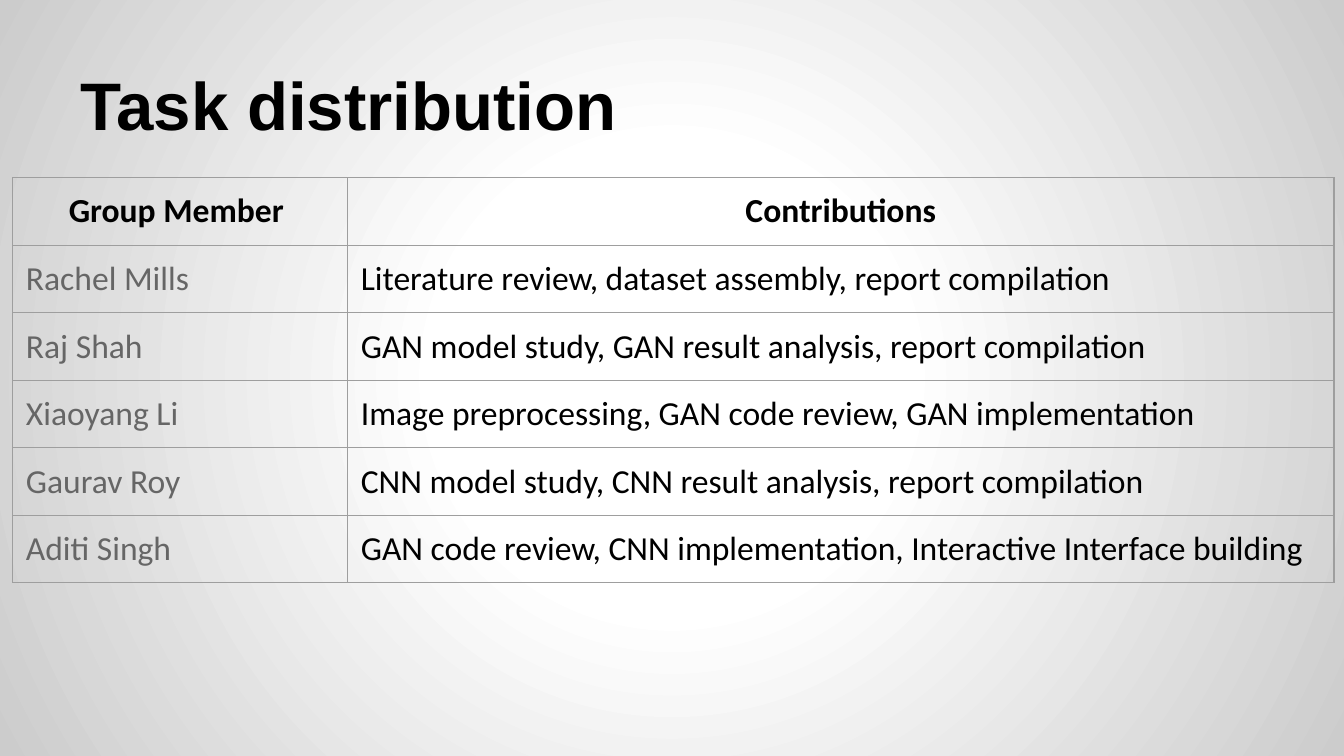
"""Build the task distribution slide."""
from dataclasses import dataclass

import pptx
import pptx.dml.color
import pptx.enum.text
import pptx.oxml
import pptx.oxml.ns
import pptx.util
from pptx.util import Cm

BLACK = pptx.dml.color.RGBColor(0x00, 0x00, 0x00)
GREY = pptx.dml.color.RGBColor(0x66, 0x66, 0x66)
BORDER = pptx.dml.color.RGBColor(0x9E, 0x9E, 0x9E)
WHITE = pptx.dml.color.RGBColor(0xFF, 0xFF, 0xFF)
SILVER = pptx.dml.color.RGBColor(0xCC, 0xCC, 0xCC)

LEFT = pptx.enum.text.PP_ALIGN.LEFT
CENTER = pptx.enum.text.PP_ALIGN.CENTER
INSET = Cm(0.25)
ROW_HEIGHT = Cm(1.07)
COLUMN_WIDTHS = (Cm(6.33), Cm(18.64))
BACKGROUND_STOPS = ((0, WHITE), (30, WHITE), (100, SILVER))


@dataclass(frozen=True)
class Task:
    member: str
    contributions: str


@dataclass(frozen=True)
class TextStyle:
    font: str
    size: int
    color: pptx.dml.color.RGBColor
    bold: bool = False
    align: pptx.enum.text.PP_ALIGN = LEFT


TITLE = TextStyle("Arial", 36, BLACK, bold=True)
HEADER = TextStyle("Calibri", 18, BLACK, bold=True, align=CENTER)
MEMBER = TextStyle("Calibri", 18, GREY)
CONTRIBUTION = TextStyle("Calibri", 18, BLACK)

HEADINGS = Task("Group Member ", "Contributions")
TASKS = (
    Task("Rachel Mills", "Literature review, dataset assembly, report compilation"),
    Task("Raj Shah", "GAN model study, GAN result analysis, report compilation"),
    Task("Xiaoyang Li", "Image preprocessing, GAN code review, GAN implementation"),
    Task("Gaurav Roy", "CNN model study, CNN result analysis, report compilation"),
    Task("Aditi Singh", "GAN code review, CNN implementation, Interactive Interface building"),
)


def paint_background(page: pptx.slide.Slide) -> None:
    stops = "".join(
        f'<a:gs pos="{percent * 1000}"><a:srgbClr val="{color}"/></a:gs>'
        for percent, color in BACKGROUND_STOPS
    )
    background = pptx.oxml.parse_xml(
        f'<p:bg {pptx.oxml.ns.nsdecls("p", "a")}><p:bgPr><a:gradFill>'
        f'<a:gsLst>{stops}</a:gsLst><a:path path="circle">'
        '<a:fillToRect l="50000" t="50000" r="50000" b="50000"/></a:path>'
        "</a:gradFill><a:effectLst/></p:bgPr></p:bg>"
    )
    page.element.cSld.insert(0, background)


def write_text(frame: pptx.text.text.TextFrame, text: str, style: TextStyle) -> None:
    frame.text = text
    para = frame.paragraphs[0]
    para.alignment = style.align
    font = para.runs[0].font
    font.name = style.font
    font.size = pptx.util.Pt(style.size)
    font.bold = style.bold
    font.color.rgb = style.color


def set_insets(holder: pptx.text.text.TextFrame | pptx.table._Cell) -> None:
    holder.margin_left = holder.margin_right = INSET
    holder.margin_top = holder.margin_bottom = INSET


def draw_borders(cell: pptx.table._Cell) -> None:
    properties = cell._tc.get_or_add_tcPr()
    for position, side in enumerate(("lnL", "lnR", "lnT", "lnB")):
        line = pptx.oxml.parse_xml(
            f'<a:{side} {pptx.oxml.ns.nsdecls("a")} w="{pptx.util.Pt(0.75)}">'
            f'<a:solidFill><a:srgbClr val="{BORDER}"/></a:solidFill></a:{side}>'
        )
        properties.insert(position, line)


def fill_cell(cell: pptx.table._Cell, text: str, style: TextStyle) -> None:
    write_text(cell.text_frame, text, style)
    set_insets(cell)
    cell.fill.background()
    draw_borders(cell)


def add_title(page: pptx.slide.Slide, text: str) -> None:
    title = page.shapes.title
    title.left, title.top = Cm(1.27), Cm(0.58)
    title.width, title.height = Cm(22.86), Cm(2.39)
    frame = title.text_frame
    write_text(frame, text, TITLE)
    set_insets(frame)
    frame.vertical_anchor = pptx.enum.text.MSO_ANCHOR.BOTTOM
    frame.auto_size = pptx.enum.text.MSO_AUTO_SIZE.NONE


def add_task_table(page: pptx.slide.Slide) -> None:
    rows = (HEADINGS, *TASKS)
    table = page.shapes.add_table(
        len(rows), len(COLUMN_WIDTHS), Cm(0.24), Cm(3.36),
        sum(COLUMN_WIDTHS), ROW_HEIGHT * len(rows),
    ).table
    table.first_row = table.horz_banding = False
    for column, width in zip(table.columns, COLUMN_WIDTHS):
        column.width = width
    for index, task in enumerate(rows):
        table.rows[index].height = ROW_HEIGHT
        styles = (MEMBER, CONTRIBUTION) if index else (HEADER, HEADER)
        fill_cell(table.cell(index, 0), task.member, styles[0])
        fill_cell(table.cell(index, 1), task.contributions, styles[1])


def main() -> None:
    deck = pptx.Presentation()
    deck.slide_width, deck.slide_height = Cm(25.4), Cm(14.29)
    page = deck.slides.add_slide(deck.slide_layouts.get_by_name("Title Only"))
    paint_background(page)
    add_title(page, "Task distribution")
    add_task_table(page)
    deck.save("out.pptx")


if __name__ == "__main__":
    main()
